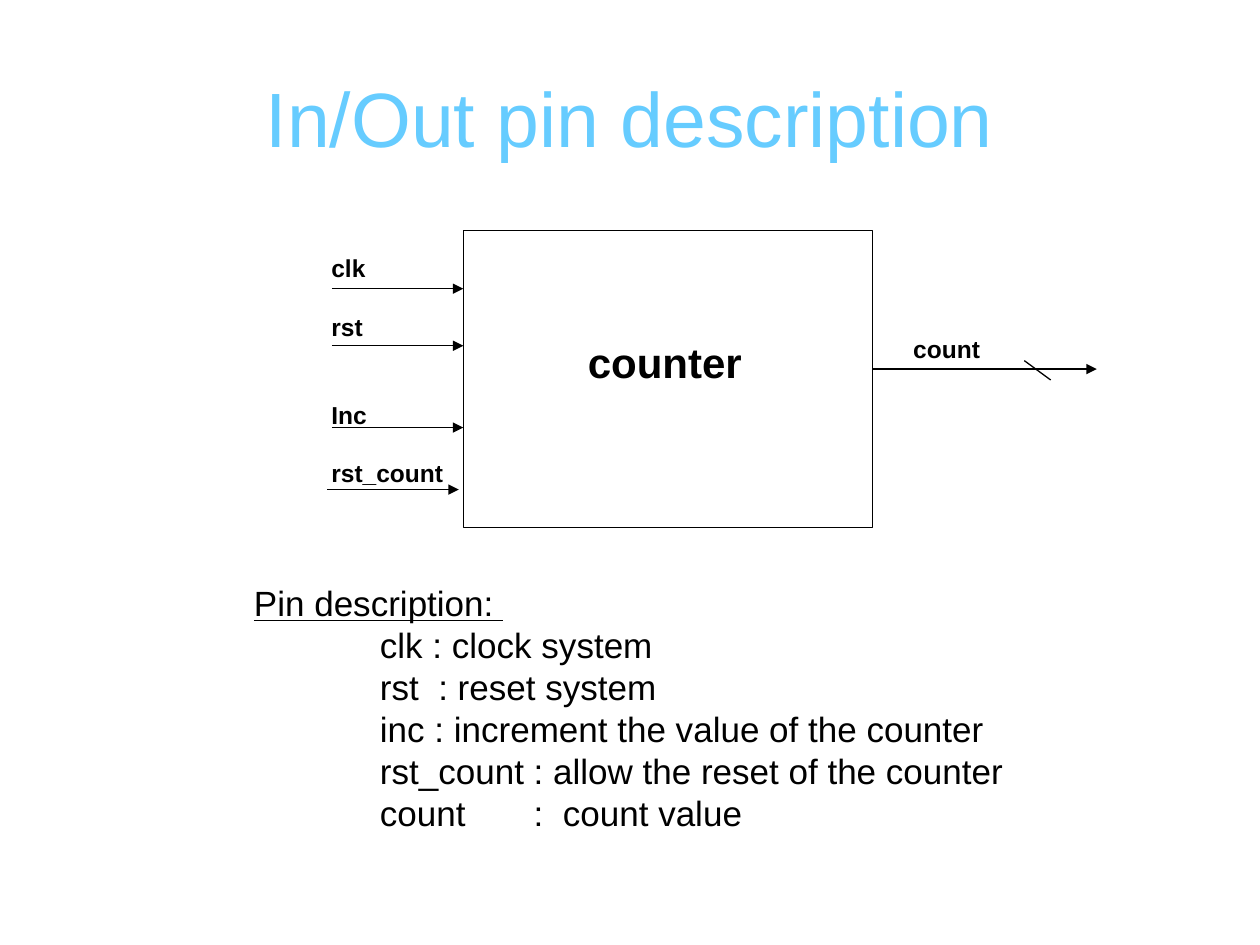
from dataclasses import dataclass

from pptx import Presentation
from pptx.dml.color import RGBColor
from pptx.enum.shapes import MSO_CONNECTOR, MSO_SHAPE
from pptx.enum.text import MSO_ANCHOR, PP_ALIGN
from pptx.oxml.ns import qn
from pptx.util import Cm, Pt
from lxml import etree

STRAIGHT = MSO_CONNECTOR.STRAIGHT
RECTANGLE = MSO_SHAPE.RECTANGLE
MIDDLE = MSO_ANCHOR.MIDDLE
LEFT, CENTER = PP_ALIGN.LEFT, PP_ALIGN.CENTER

COLORS = {"title": "66CCFF", "ink": "000000", "paper": "FFFFFF"}
LINE_WIDTH = Pt(0.75)

# Label rows share one pitch; some rows are left free between pins
LABEL_LEFT, LABEL_TOP, LABEL_PITCH = 6.43, 4.98, 0.59
DESCRIPTION_TABS = (2.54, 5.64)
DESCRIPTIONS = [
    "clk : clock system",
    "rst  : reset system",
    "inc : increment the value of the counter",
    "rst_count : allow the reset of the counter",
    "count\t:  count value",
]


@dataclass
class Label:
    text: str
    left: float
    top: float
    width: float
    height: float
    size: int = 14


@dataclass
class Wire:
    start: tuple[float, float]
    end: tuple[float, float]
    arrow: bool = True


@dataclass
class InputPin:
    name: str
    row: int
    wire: Wire


INPUT_PINS = [
    InputPin("clk", 0, Wire((6.69, 5.82), (9.34, 5.82))),
    InputPin("rst", 2, Wire((6.69, 6.97), (9.34, 6.97))),
    InputPin("Inc", 5, Wire((6.69, 8.62), (9.34, 8.62))),
    InputPin("rst_count", 7, Wire((6.6, 9.87), (9.25, 9.87))),
]
OUTPUT_WIRES = [
    Wire((17.59, 7.44), (22.11, 7.44)),
    Wire((20.65, 7.27), (21.18, 7.66), arrow=False),
]
LABELS = [
    Label(pin.name, LABEL_LEFT, LABEL_TOP + pin.row * LABEL_PITCH, 4.2, 0.9)
    for pin in INPUT_PINS
] + [
    Label("count", 18.16, 6.6, 2.5, 0.9),
    Label("counter", 11.6, 6.65, 4.94, 1.3, size=24),
]


def style_font(font, size: int, color: str = "ink", **values) -> None:
    for name, value in {"name": "Arial", "size": Pt(size), **values}.items():
        setattr(font, name, value)
    font.color.rgb = RGBColor.from_string(COLORS[color])


def add_frame(slide, left: float, top: float, width: float, height: float):
    box = slide.shapes.add_textbox(Cm(left), Cm(top), Cm(width), Cm(height))
    box.text_frame.word_wrap = True
    return box.text_frame


def add_label(slide, label: Label) -> None:
    frame = add_frame(
        slide, label.left, label.top, label.width, label.height)
    para = frame.paragraphs[0]
    para.text = label.text
    style_font(para.font, label.size, bold=True)


def add_wire(slide, wire: Wire) -> None:
    points = [Cm(value) for value in wire.start + wire.end]
    connector = slide.shapes.add_connector(STRAIGHT, *points)
    connector.line.width = LINE_WIDTH
    connector.line.color.rgb = RGBColor.from_string(COLORS["ink"])
    if wire.arrow:
        line = connector.line._get_or_add_ln()
        etree.SubElement(line, qn("a:tailEnd"), type="triangle")
    etree.SubElement(connector._element.spPr, qn("a:effectLst"))


def add_block(slide) -> None:
    block = slide.shapes.add_shape(
        RECTANGLE, Cm(9.35), Cm(4.65), Cm(8.24), Cm(5.99))
    block.shadow.inherit = False
    block.fill.solid()
    block.fill.fore_color.rgb = RGBColor.from_string(COLORS["paper"])
    block.line.color.rgb = RGBColor.from_string(COLORS["ink"])
    block.line.width = LINE_WIDTH


def format_description(para) -> None:
    properties = para._p.get_or_add_pPr()
    tabs = etree.SubElement(properties, qn("a:tabLst"))
    for position in DESCRIPTION_TABS:
        etree.SubElement(tabs, qn("a:tab"), pos=str(Cm(position)), algn="l")
    for name, value in {"alignment": LEFT, "line_spacing": Pt(24)}.items():
        setattr(para, name, value)


def fill_title(title) -> None:
    places = {"left": 1.27, "top": 0.76, "width": 22.86, "height": 3.18}
    for name, value in places.items():
        setattr(title, name, Cm(value))
    title.text_frame.vertical_anchor = MIDDLE
    para = title.text_frame.paragraphs[0]
    para.text = "In/Out pin description"
    para.alignment = CENTER
    style_font(para.font, 44, "title")


def add_descriptions(slide) -> None:
    frame = add_frame(slide, 4.87, 11.6, 16.51, 5.35)
    lines = ["Pin description: "] + ["\t" + line for line in DESCRIPTIONS]
    for index, line in enumerate(lines):
        para = frame.add_paragraph() if index else frame.paragraphs[0]
        format_description(para)
        span = para.add_run()
        span.text = line
        style_font(span.font, 20, underline=index == 0)


def main() -> None:
    deck = Presentation()
    deck.slide_width, deck.slide_height = Cm(25.4), Cm(19.05)
    slide = deck.slides.add_slide(deck.slide_layouts[5])
    fill_title(slide.shapes.title)

    # Counter block with its pins
    add_block(slide)
    for wire in [pin.wire for pin in INPUT_PINS] + OUTPUT_WIRES:
        add_wire(slide, wire)
    for label in LABELS:
        add_label(slide, label)

    # Meaning of each pin, on tab stops
    add_descriptions(slide)

    deck.save("out.pptx")


if __name__ == "__main__":
    main()
